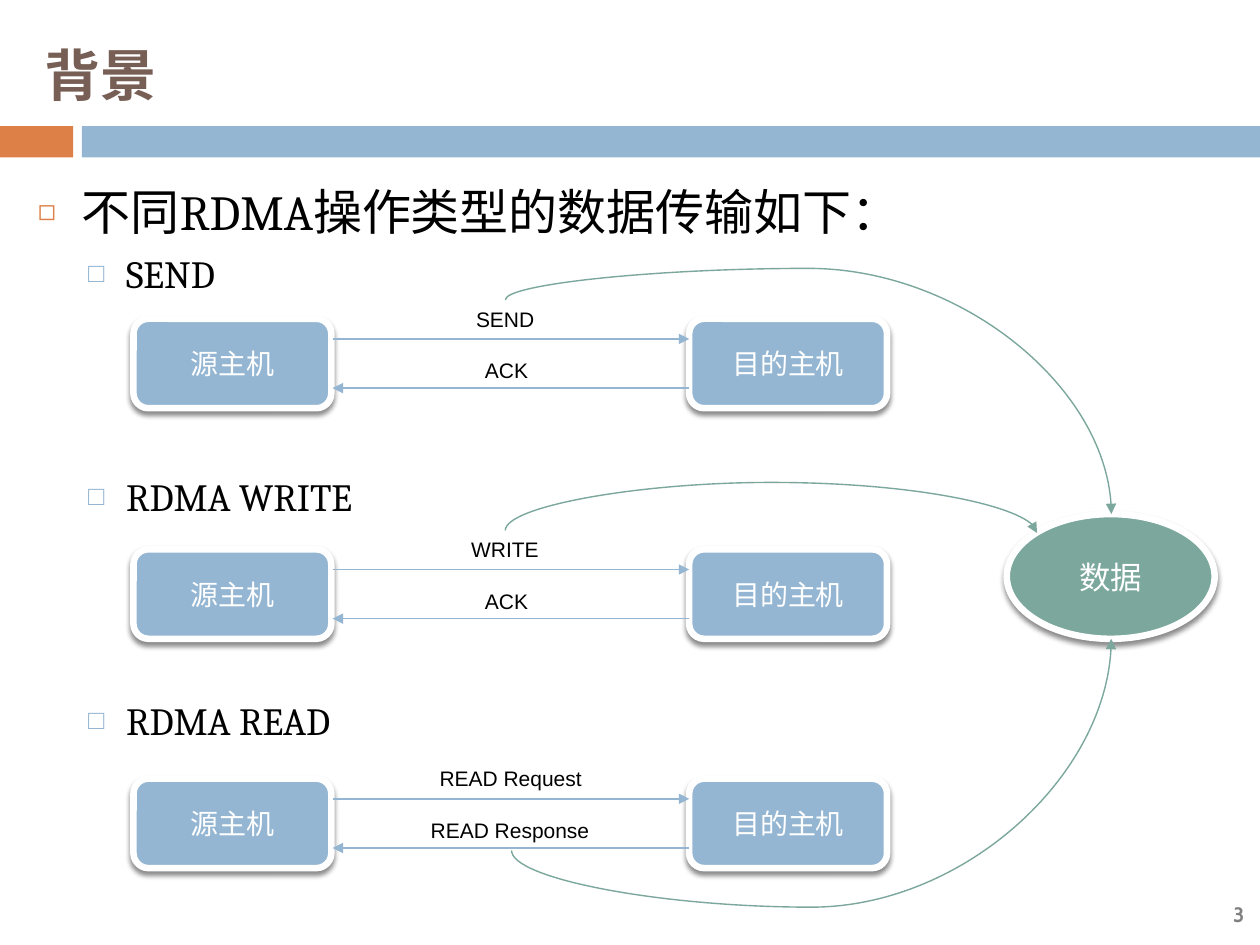
from lxml import etree
from pptx import Presentation
from pptx import util as u
from pptx.dml.color import RGBColor
from pptx.enum import shapes, text
from pptx.oxml import ns

BLUE = RGBColor(0x94, 0xB6, 0xD2)
ORANGE = RGBColor(0xDD, 0x80, 0x47)
GREEN = RGBColor(0x7B, 0xA7, 0x9D)
BROWN = RGBColor(0x77, 0x5F, 0x55)
GRAY = RGBColor(0x80, 0x80, 0x80)
BLACK = RGBColor(0, 0, 0)
WHITE = RGBColor(0xFF, 0xFF, 0xFF)


def add(parent, tag, **attrs):
    node = etree.SubElement(parent, ns.qn(tag))
    for key, value in attrs.items():
        node.set(key, str(value))
    return node


class Deck:
    head = "Cambria"
    sans = "Arial"
    thin = u.Pt(0.79)

    def __init__(self):
        self.prs = Presentation()
        self.prs.slide_width = u.Inches(10)
        self.prs.slide_height = u.Inches(7.5)
        self.slide = self.prs.slides.add_slide(self.prs.slide_layouts[1])
        self.items = self.slide.shapes

    def place(self, shape, *box):
        shape.left, shape.top, shape.width, shape.height = map(u.Inches, box)

    def style(self, para, size, color, font, bold=False):
        for run in para.runs:
            run.font.size = u.Pt(size)
            run.font.color.rgb = color
            run.font.name = font
            run.font.bold = bold

    def title(self, words, *box):
        shape = self.items.title
        self.place(shape, *box)
        frame = shape.text_frame
        frame.text = words
        frame.auto_size = text.MSO_AUTO_SIZE.NONE
        frame.vertical_anchor = text.MSO_ANCHOR.MIDDLE
        frame.paragraphs[0].alignment = text.PP_ALIGN.LEFT
        self.style(frame.paragraphs[0], 32, BROWN, self.head, True)

    def body(self, rows, *box):
        shape = self.slide.placeholders[1]
        self.place(shape, *box)
        frame = shape.text_frame
        frame.text = "\n".join(row[0] for row in rows)
        frame.auto_size = text.MSO_AUTO_SIZE.NONE
        looks = [(28, 0.35, 0.35, "◻", ORANGE, 60), (22, 0.7, 0.3, "□", BLUE, 70)]
        for para, (_, level, gap) in zip(frame.paragraphs, rows):
            size, left, hang, mark, color, scale = looks[level]
            para.level = level
            para.space_before = u.Pt(gap)
            self.style(para, size, BLACK, self.head)
            props = para._p.get_or_add_pPr()
            props.set("marL", str(u.Inches(left)))
            props.set("indent", str(-u.Inches(hang)))
            add(add(props, "a:buClr"), "a:srgbClr", val=color)
            add(props, "a:buSzPct", val=scale * 1000)
            add(props, "a:buChar", char=mark)

    def band(self, color, *box):
        shape = self.items.add_shape(shapes.MSO_SHAPE.RECTANGLE, *map(u.Inches, box))
        shape.shadow.inherit = False
        shape.fill.solid()
        shape.fill.fore_color.rgb = color
        shape.line.fill.background()

    def node(self, kind, words, size, color, *box):
        shape = self.items.add_shape(kind, *map(u.Inches, box))
        shape.fill.solid()
        shape.fill.fore_color.rgb = color
        shape.line.color.rgb = WHITE
        shape.line.width = u.Pt(3.75)
        shape.shadow.inherit = False
        effects = shape._element.spPr.find(ns.qn("a:effectLst"))
        shade = add(effects, "a:outerShdw", blurRad=u.Pt(3), dist=u.Pt(2.4),
                    dir=5400000, rotWithShape=0)
        add(add(shade, "a:srgbClr", val=BLACK), "a:alpha", val=45000)
        frame = shape.text_frame
        frame.text = words
        frame.vertical_anchor = text.MSO_ANCHOR.MIDDLE
        frame.paragraphs[0].alignment = text.PP_ALIGN.CENTER
        self.style(frame.paragraphs[0], size, WHITE, self.sans)

    def label(self, words, *box):
        frame = self.items.add_textbox(*map(u.Inches, box)).text_frame
        frame.text = words
        frame.word_wrap = False
        frame.auto_size = text.MSO_AUTO_SIZE.SHAPE_TO_FIT_TEXT
        self.style(frame.paragraphs[0], 12, BLACK, self.sans)

    def number(self, words, *box):
        frame = self.items.add_textbox(*map(u.Inches, box)).text_frame
        frame.text = words
        frame.word_wrap = True
        frame.vertical_anchor = text.MSO_ANCHOR.MIDDLE
        frame.paragraphs[0].alignment = text.PP_ALIGN.CENTER
        self.style(frame.paragraphs[0], 11.9, GRAY, "Cabin", True)

    def link(self, kind, color, *ends):
        line = self.items.add_connector(kind, *map(u.Inches, ends))
        line.line.color.rgb = color
        line.line.width = self.thin
        add(line.line._get_or_add_ln(), "a:tailEnd", type="triangle")
        add(line._element.spPr, "a:effectLst")
        return line

    def arrow(self, start, end, y):
        self.link(shapes.MSO_CONNECTOR.STRAIGHT, BLUE, start, y, end, y)

    def curve(self, x1, y1, x2, y2, peak):
        wide, high = abs(y2 - y1), x2 - x1
        left, top = (x1 + x2 - wide) / 2, (y1 + y2 - high) / 2
        line = self.link(shapes.MSO_CONNECTOR.CURVE, GREEN,
                         left, top, left + wide, top + high)
        props = line._element.spPr
        frame = props.find(ns.qn("a:xfrm"))
        frame.set("flipH", "1")
        if y2 > y1:
            frame.set("rot", "16200000")
        else:
            frame.set("rot", "5400000")
            frame.set("flipV", "1")
        bend = round((peak - y1) / (y2 - y1) * 100000)
        guides = props.find(ns.qn("a:prstGeom")).find(ns.qn("a:avLst"))
        add(guides, "a:gd", name="adj1", fmla=f"val {bend}")


def main():
    deck = Deck()
    deck.band(ORANGE, 0, 1, 0.58, 0.25)
    deck.band(BLUE, 0.65, 1, 9.35, 0.25)
    deck.title("背景", 0.25, 0.25, 6.92, 0.67)
    deck.body([("不同RDMA操作类型的数据传输如下：", 0, 7), ("SEND", 1, 5.5),
               ("RDMA WRITE", 1, 101.3), ("RDMA READ", 1, 101.3)],
              0.2, 1.39, 9.45, 5.43)
    deck.number("3", 9.54, 7.12, 0.58, 0.27)

    flows = [(2.53, "SEND", 3.68, 0.67, "ACK", 3.75, 0.55),
             (4.36, "WRITE", 3.64, 0.75, "ACK", 3.75, 0.55),
             (6.18, "READ Request", 3.39, 1.34, "READ Response", 3.32, 1.47)]
    for top, ask, ask_x, ask_w, reply, reply_x, reply_w in flows:
        for name, left in (("源主机", 1.06), ("目的主机", 5.47)):
            deck.node(shapes.MSO_SHAPE.ROUNDED_RECTANGLE, name, 16, BLUE,
                      left, top, 1.57, 0.71)
        deck.arrow(2.64, 5.47, top + 0.16)
        deck.label(ask, ask_x, top - 0.15, ask_w, 0.3)
        deck.arrow(5.47, 2.64, top + 0.55)
        deck.label(reply, reply_x, top + 0.26, reply_w, 0.3)

    deck.node(shapes.MSO_SHAPE.OVAL, "数据", 18, GREEN, 7.99, 4.08, 1.65, 0.99)
    deck.curve(4.01, 4.21, 8.23, 4.23, 3.83)
    deck.curve(4.06, 6.75, 8.82, 5.07, 7.2)
    deck.curve(4.01, 2.38, 8.82, 4.08, 2.13)
    deck.prs.save("out.pptx")


if __name__ == "__main__":
    main()
